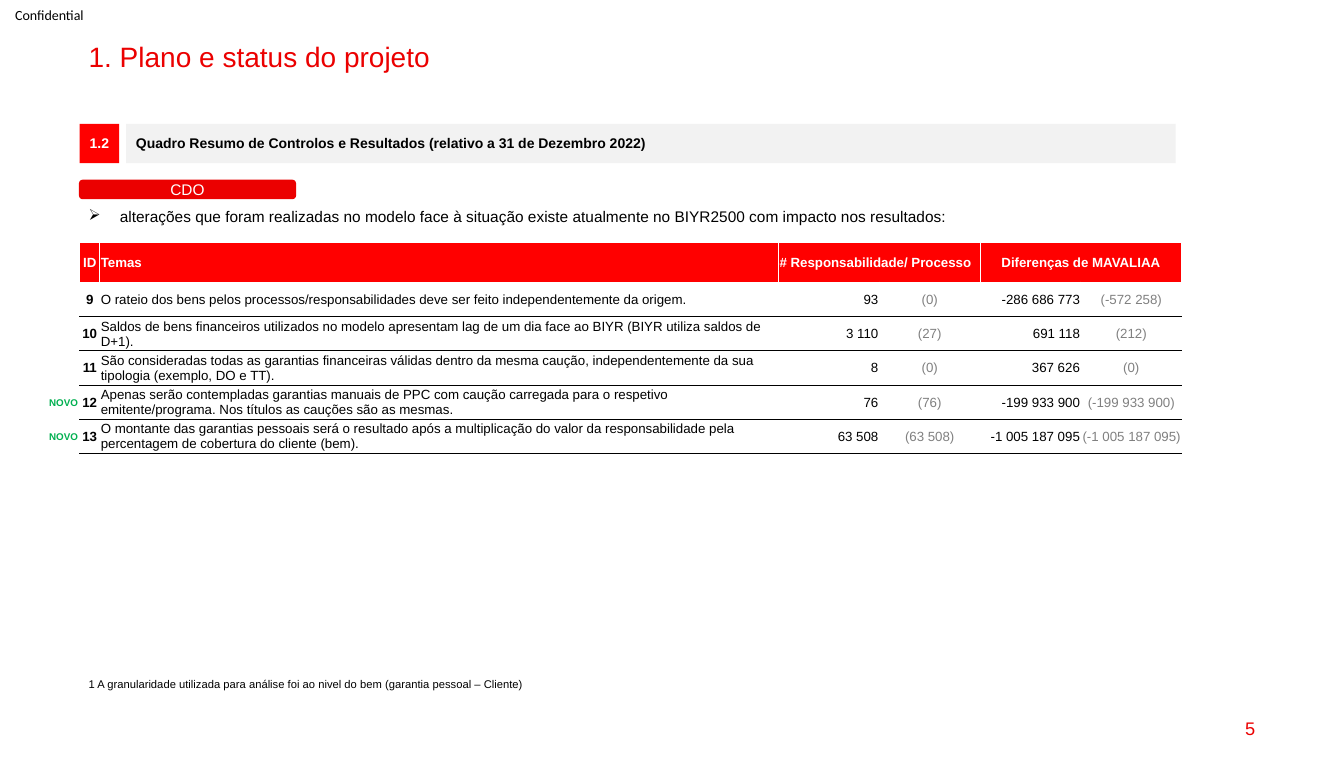
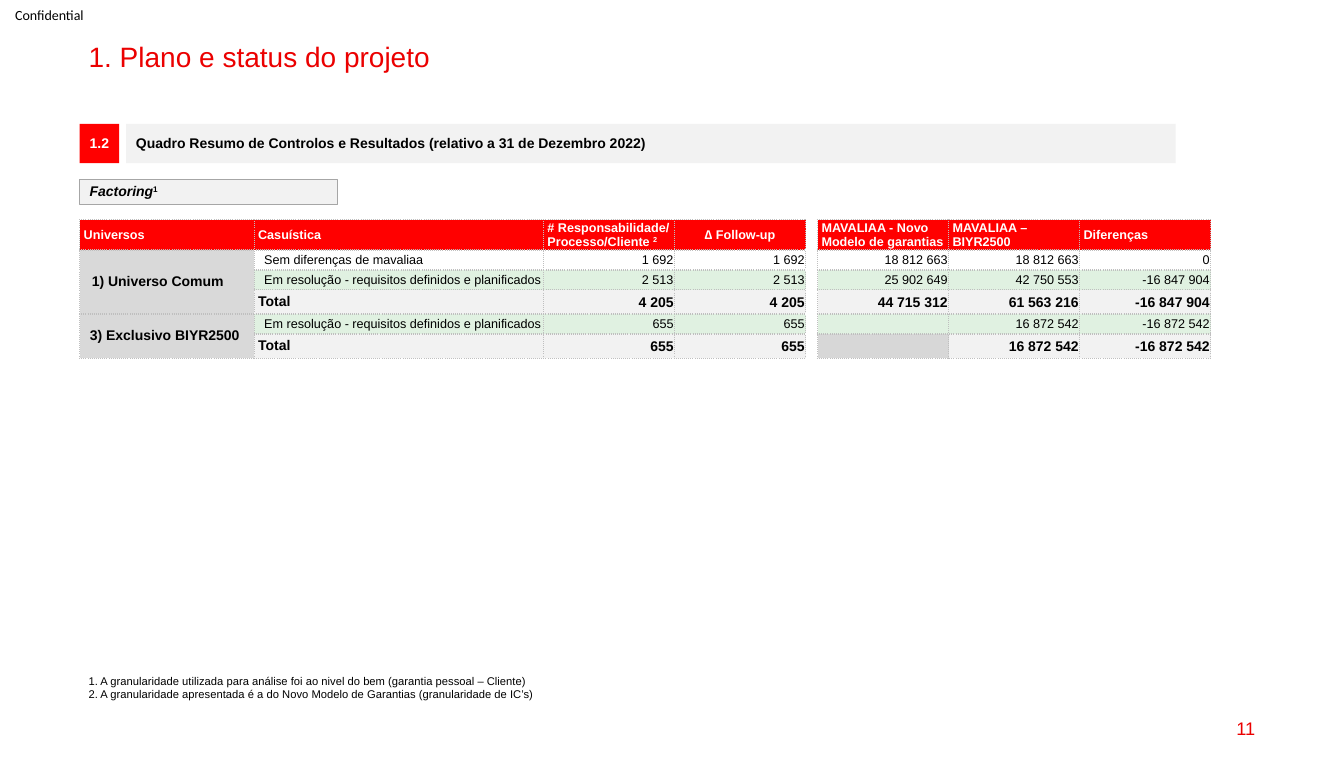
from dataclasses import dataclass

from lxml import etree
from pptx import Presentation, util as u
from pptx.dml.color import RGBColor
from pptx.enum import shapes, text
from pptx.oxml import ns


@dataclass(frozen=True)
class Theme:
    red: str = "FF0000"
    deep_red: str = "EB0000"
    black: str = "000000"
    white: str = "FFFFFF"
    pale_grey: str = "F2F2F2"
    group_grey: str = "D9D9D9"
    void_grey: str = "D7D7D7"
    dot_grey: str = "BFBFBF"
    frame_grey: str = "A6A6A6"
    text_grey: str = "808080"
    pale_green: str = "E0F1E1"
    green: str = "00B050"
    font: str = "Arial"
    label_font: str = "Calibri"
    title: float = 20
    page: float = 13
    lead: float = 11
    body: float = 10
    topics: float = 9.5
    cell: float = 9
    note: float = 8
    flag: float = 7


T = Theme()
LEFT, CENTER, RIGHT = text.PP_ALIGN.LEFT, text.PP_ALIGN.CENTER, text.PP_ALIGN.RIGHT
TOP, MIDDLE = text.MSO_ANCHOR.TOP, text.MSO_ANCHOR.MIDDLE
RECT, ROUND = shapes.MSO_SHAPE.RECTANGLE, shapes.MSO_SHAPE.ROUNDED_RECTANGLE

deck = Presentation()
deck.slide_width, deck.slide_height = u.Inches(13.33), u.Inches(7.76)
# One grid column or row is a hundredth of the slide.
COL, ROW = deck.slide_width / 100, deck.slide_height / 100


def write(frame, content, size=T.body, color=T.black, bold=False, italic=False,
          align=LEFT, font=T.font, spacing=None, bullet=None):
    """Write one paragraph a line; ^ opens and closes an upright superscript."""
    for number, line in enumerate(content.split("\n")):
        paragraph = frame.add_paragraph() if number else frame.paragraphs[0]
        if bullet:
            props = paragraph._p.get_or_add_pPr()
            props.set("marL", str(u.Inches(0.31)))
            props.set("indent", str(-u.Inches(0.31)))
            etree.SubElement(props, ns.qn("a:buChar"), char=bullet)
        paragraph.alignment = align
        if spacing:
            paragraph.line_spacing = spacing
        for part, words in enumerate(line.split("^")):
            if not words:
                continue
            run = paragraph.add_run()
            run.text = words
            run.font.name, run.font.size = font, u.Pt(size)
            run.font.bold, run.font.italic = bold, italic and part % 2 == 0
            run.font.color.rgb = RGBColor.from_string(color)
            if part % 2:
                run.font._element.set("baseline", "30000")
        if not line:
            etree.SubElement(paragraph._p, ns.qn("a:endParaRPr"), sz=str(int(size * 100)))


def dress(cell, fill, borders, margins):
    """Set borders {side: (colour, points, dash)}, then fill and margins in inches."""
    props = cell._tc.get_or_add_tcPr()
    for side in "LRTB":
        if side in borders:
            color, points, dash = borders[side]
            line = etree.SubElement(props, ns.qn("a:ln" + side), w=str(u.Pt(points)))
            solid = etree.SubElement(line, ns.qn("a:solidFill"))
            etree.SubElement(solid, ns.qn("a:srgbClr"), val=color)
            etree.SubElement(line, ns.qn("a:prstDash"), val=dash)
    if fill:
        cell.fill.solid()
        cell.fill.fore_color.rgb = RGBColor.from_string(fill)
    else:
        cell.fill.background()
    cell.vertical_anchor = MIDDLE
    cell.margin_left, cell.margin_top, cell.margin_right, cell.margin_bottom = map(u.Inches, margins)


EDGE, TEXT_EDGE, BAND_TOP, BAND_HEIGHT = 5.93, 5.85, 15.85, 5.03
TOPICS_TOP, TOPIC_HEAD, TOPIC_ROW = 31.06, 5.03, 4.38
FACTORING_TOP = 28.09

topics_columns = [1.5, 50.5] + [7.5] * 4
topics = [
    ["ID", "Temas", "# Responsabilidade/ Processo", "", "Diferenças de MAVALIAA", ""],
    ["9", "O rateio dos bens pelos processos/responsabilidades deve ser feito independentemente da origem.",
     "93", "(0)", "-286 686 773", "(-572 258)"],
    ["10", "Saldos de bens financeiros utilizados no modelo apresentam lag de um dia face ao BIYR "
     "(BIYR utiliza saldos de D+1).", "3 110", "(27)", "691 118", "(212)"],
    ["11", "São consideradas todas as garantias financeiras válidas dentro da mesma caução, "
     "independentemente da sua tipologia (exemplo, DO e TT).", "8", "(0)", "367 626", "(0)"],
    ["12", "Apenas serão contempladas garantias manuais de PPC com caução carregada para o respetivo "
     "emitente/programa. Nos títulos as cauções são as mesmas.",
     "76", "(76)", "-199 933 900", "(-199 933 900)"],
    ["13", "O montante das garantias pessoais será o resultado após a multiplicação do valor da "
     "responsabilidade pela percentagem de cobertura do cliente (bem).",
     "63 508", "(63 508)", "-1 005 187 095", "(-1 005 187 095)"],
]
new_topics = [4, 5]

factoring_columns = [12.98, 21.53, 9.75, 9.75, 0.83, 9.75, 9.75, 9.75]
factoring_rows = [3.35, 2.55, 2.55, 3.09, 2.55, 3.09]
pending = "Em resolução - requisitos definidos e planificados"
factoring = [
    ["Universos", "Casuística", "# Responsabilidade/\nProcesso/Cliente ^2", "∆ Follow-up", "",
     "MAVALIAA - Novo Modelo de garantias", "MAVALIAA – BIYR2500", "Diferenças"],
    ["1) Universo Comum", "Sem diferenças de mavaliaa", "1 692", "1 692", "",
     "18 812 663", "18 812 663", "0"],
    ["", pending, "2 513", "2 513", "", "25 902 649", "42 750 553", "-16 847 904"],
    ["", "Total", "4 205", "4 205", "", "44 715 312", "61 563 216", "-16 847 904"],
    ["3) Exclusivo BIYR2500", pending, "655", "655", "", "", "16 872 542", "-16 872 542"],
    ["", "Total", "655", "655", "", "", "16 872 542", "-16 872 542"],
]
GAP, NEW_MODEL = 4, 5

# Each part: words, area in grid units, preset shape, fill, outline, anchor, text style.
shared_parts = [
    ("1. Plano e status do projeto", (TEXT_EDGE, 4.9, 88.3, 4.38), None, None, None, TOP,
     dict(size=T.title, color=T.deep_red, spacing=0.9)),
    ("1.2", (EDGE, BAND_TOP, 2.93, BAND_HEIGHT), RECT, T.red, None, MIDDLE,
     dict(color=T.white, bold=True, align=CENTER, spacing=0.9)),
    ("Quadro Resumo de Controlos e Resultados (relativo a 31 de Dezembro 2022)",
     (9.38, BAND_TOP, 78.1, BAND_HEIGHT), RECT, T.pale_grey, None, MIDDLE,
     dict(bold=True, spacing=0.9)),
]
granularity = "A granularidade utilizada para análise foi ao nivel do bem (garantia pessoal – Cliente)"
topics_parts = [
    ("CDO", (EDGE, 23.07, 16.05, 2.32), ROUND, T.deep_red, (T.deep_red, 1), MIDDLE,
     dict(size=T.lead, color=T.white, align=CENTER)),
    ("alterações que foram realizadas no modelo face à situação existe atualmente no BIYR2500 "
     "com impacto nos resultados:", (TEXT_EDGE, 25.9, 81.62, 3.74), None, None, None, TOP,
     dict(size=T.lead, bullet="➢")),
    ("1 " + granularity, (TEXT_EDGE, 85.95, 36, 4.77), None, None, None, TOP, dict(size=T.note)),
] + [
    ("NOVO", (0, TOPICS_TOP + TOPIC_HEAD + (topic - 1) * TOPIC_ROW, 6.53, TOPIC_ROW),
     None, None, None, MIDDLE, dict(size=T.flag, color=T.green, bold=True, align=RIGHT))
    for topic in new_topics
]
factoring_parts = [
    ("Factoring^1", (EDGE, 22.94, 19.2, 3.22), RECT, T.pale_grey, (T.frame_grey, 0.75), MIDDLE,
     dict(bold=True, italic=True, spacing=0.9)),
    ("1. " + granularity + "\n2. A granularidade apresentada é a do Novo Modelo de Garantias "
     "(granularidade de IC’s)", (TEXT_EDGE, 85.57, 36, 4.77), None, None, None, TOP,
     dict(size=T.note)),
]

tables = []
for page, own_parts, rows, widths, heights, top in [
    ("5", topics_parts, topics, topics_columns, [TOPIC_HEAD] + [TOPIC_ROW] * 5, TOPICS_TOP),
    ("11", factoring_parts, factoring, factoring_columns, factoring_rows, FACTORING_TOP),
]:
    slide = deck.slides.add_slide(deck.slide_layouts[6])
    label = slide.shapes.add_textbox(0, 0, int(7.43 * COL), int(3.74 * ROW)).text_frame
    label.margin_left, label.margin_top, label.margin_right, label.margin_bottom = u.Inches(0.15), 0, 0, 0
    label.vertical_anchor, label.word_wrap = MIDDLE, True
    write(label, "Confidential", font=T.label_font)

    page_part = (page, (71.64, 90.46, 22.5, 5.28), None, None, None, MIDDLE,
                 dict(size=T.page, color=T.deep_red, align=RIGHT))
    for words, (x, y, w, h), preset, fill, outline, anchor, style in shared_parts + [page_part] + own_parts:
        area = [int(n) for n in (x * COL, y * ROW, w * COL, h * ROW)]
        if preset:
            part = slide.shapes.add_shape(preset, *area)
            part.shadow.inherit = False
            part.fill.solid()
            part.fill.fore_color.rgb = RGBColor.from_string(fill)
            if outline:
                part.line.color.rgb = RGBColor.from_string(outline[0])
                part.line.width = u.Pt(outline[1])
            else:
                part.line.fill.background()
        else:
            part = slide.shapes.add_textbox(*area)
        part.text_frame.word_wrap, part.text_frame.vertical_anchor = True, anchor
        write(part.text_frame, words, **style)

    table = slide.shapes.add_table(
        len(rows), len(widths), int(EDGE * COL), int(top * ROW),
        int(sum(widths) * COL), int(sum(heights) * ROW)).table
    table.first_row = table.horz_banding = False
    for column, width in zip(table.columns, widths):
        column.width = int(width * COL)
    for row, height in zip(table.rows, heights):
        row.height = int(height * ROW)
    tables.append(table)

topics_table, factoring_table = tables
for first in (2, 4):
    topics_table.cell(0, first).merge(topics_table.cell(0, first + 1))
for first, last in ((1, 3), (4, 5)):
    factoring_table.cell(first, 0).merge(factoring_table.cell(last, 0))

white_rule, black_rule = (T.white, 1, "solid"), (T.black, 0.5, "solid")
topic_aligns = [CENTER, LEFT, RIGHT, CENTER, RIGHT, CENTER]
for r, row in enumerate(topics):
    for c, words in enumerate(row):
        cell, head = topics_table.cell(r, c), r == 0
        borders = dict(L=white_rule, R=white_rule, T=black_rule if r > 1 else white_rule,
                       B=white_rule if head else black_rule)
        dress(cell, T.red if head else None, borders, (0.01, 0.01, 0.01, 0))
        if head:
            color, align = T.white, CENTER if c in (0, 4) else LEFT
        else:
            color = T.text_grey if c in (3, 5) else T.black
            align = RIGHT if len(words) > 14 and c == 5 else topic_aligns[c]
        write(cell.text_frame, words, T.topics, color, bold=head or c == 0, align=align)

dots = (T.dot_grey, 1, "sysDot")
for r, row in enumerate(factoring):
    total, head = row[1] == "Total", r == 0
    for c, words in enumerate(row):
        cell, group = factoring_table.cell(r, c), c == 0 and r > 0
        margins, align = (0.01, 0.01, 0.01, 0), RIGHT
        fill = T.pale_grey if total else T.pale_green if row[1] == pending else None
        if head:
            fill, margins, align = T.red, (0.04, 0, 0.04, 0), CENTER if c == 3 else LEFT
        elif group:
            fill, margins, align = T.group_grey, (0.12 if r < 4 else 0.1, 0, 0.04, 0), LEFT
        elif c == 1:
            margins, align = (0.04, 0, 0.04, 0) if total else (0.1, 0.01, 0.01, 0), LEFT
        elif total and c == NEW_MODEL and not words:
            fill = T.void_grey
        if c == GAP:
            fill = None
        dress(cell, fill, dict.fromkeys("LR" if c == GAP else "LRTB", dots), margins)
        write(cell.text_frame, words, T.body if words and (total or group) else T.cell,
              T.white if head else T.black, bold=head or total or group, align=align)

deck.save("out.pptx")
